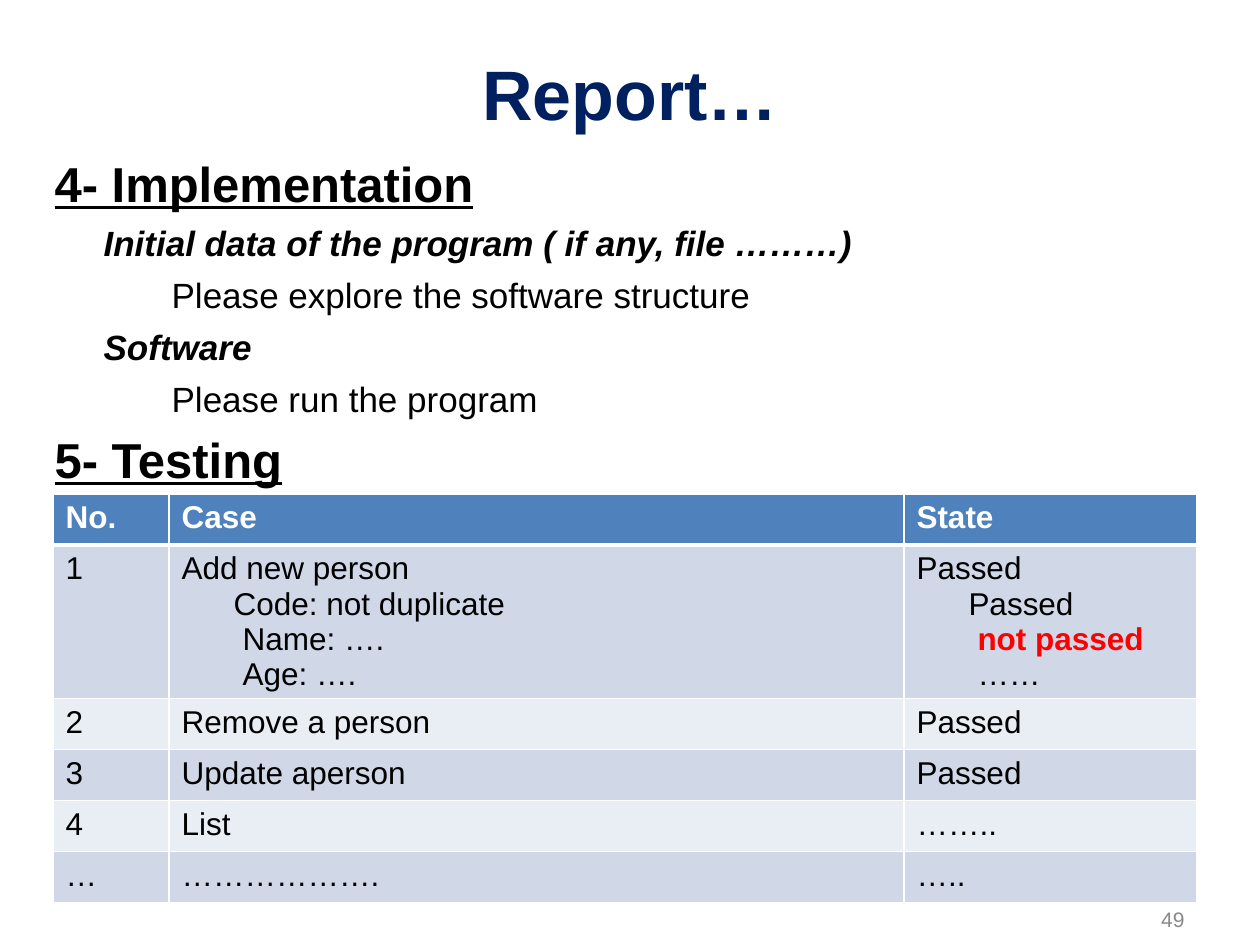
from dataclasses import dataclass

from lxml import etree
from pptx import Presentation
from pptx.dml.color import RGBColor
from pptx.enum.text import MSO_ANCHOR, MSO_AUTO_SIZE, PP_ALIGN
from pptx.oxml.ns import qn
from pptx.util import Emu, Pt

MIDDLE, TOP = MSO_ANCHOR.MIDDLE, MSO_ANCHOR.TOP
LEFT, CENTER, RIGHT = PP_ALIGN.LEFT, PP_ALIGN.CENTER, PP_ALIGN.RIGHT
NO_AUTOFIT = MSO_AUTO_SIZE.NONE
EMU_PER_PX = 914400 / 126
BLACK, WHITE, RED = "000000", "FFFFFF", "FF0000"
NAVY, GRAY, BLUE = "002060", "898989", "4F81BD"
BANDS = ("D0D8E8", "E9EDF4")


@dataclass(frozen=True)
class Line:
    text: str
    size: int = 18
    color: str = BLACK
    bold: bool = False
    italic: bool = False
    underline: bool = False
    indent: int = 0
    align: PP_ALIGN = LEFT
    before: float = 0


def px(length: int) -> Emu:
    return Emu(round(length * EMU_PER_PX))


def rgb(value: str) -> RGBColor:
    return RGBColor.from_string(value)


def write_lines(frame, lines: list[Line]) -> None:
    for index, line in enumerate(lines):
        para = frame.paragraphs[0] if index == 0 else frame.add_paragraph()
        para.text = line.text
        para.alignment = line.align
        para.space_before = Pt(line.before)
        font = para.font
        font.name, font.size = "Arial", Pt(line.size)
        font.bold, font.italic = line.bold, line.italic
        font.underline = line.underline
        font.color.rgb = rgb(line.color)
        properties = para._p.get_or_add_pPr()
        properties.set("marL", str(px(line.indent)))
        properties.set("indent", "0")
        etree.SubElement(properties, qn("a:buNone"))


def fill_box(box, bounds: tuple[int, int, int, int], lines: list[Line],
             anchor: MSO_ANCHOR) -> None:
    box.left, box.top, box.width, box.height = map(px, bounds)
    frame = box.text_frame
    frame.word_wrap = True
    frame.auto_size = NO_AUTOFIT
    frame.vertical_anchor = anchor
    write_lines(frame, lines)


def add_border(cell, side: str, points: int) -> None:
    border = etree.SubElement(cell._tc.get_or_add_tcPr(), qn(f"a:ln{side}"),
                              w=str(Pt(points)))
    fill = etree.SubElement(border, qn("a:solidFill"))
    etree.SubElement(fill, qn("a:srgbClr"), val=WHITE)


def heading(text: str) -> Line:
    return Line(text, 28, bold=True, underline=True, before=5.6)


def topic(text: str) -> Line:
    return Line(text, 20, bold=True, italic=True, indent=49, before=5.6)


def detail(text: str) -> Line:
    return Line(text, 20, indent=117, before=5.6)


def add_test_table(slide, rows: list[list[list[Line]]]) -> None:
    widths = (116, 735, 293)
    heights = [153 if index == 1 else 51 for index in range(len(rows))]
    table = slide.shapes.add_table(len(rows), len(widths), px(53), px(494),
                                   px(sum(widths)), px(sum(heights))).table
    for column, width in zip(table.columns, widths):
        column.width = px(width)
    for row_index, row in enumerate(rows):
        table.rows[row_index].height = px(heights[row_index])
        for column_index, lines in enumerate(row):
            cell = table.cell(row_index, column_index)
            add_border(cell, "L", 1)
            add_border(cell, "R", 1)
            add_border(cell, "T", 3 if row_index == 1 else 1)
            add_border(cell, "B", 3 if row_index == 0 else 1)
            cell.fill.solid()
            color = BANDS[(row_index - 1) % 2] if row_index else BLUE
            cell.fill.fore_color.rgb = rgb(color)
            write_lines(cell.text_frame, lines)


def main() -> None:
    deck = Presentation()
    deck.slide_width, deck.slide_height = px(1260), px(945)
    page = deck.slides.add_slide(deck.slide_layouts[1])
    title, body = page.placeholders
    fill_box(title, (63, 38, 1134, 110),
             [Line("Report…", 40, NAVY, bold=True, align=CENTER)], MIDDLE)
    fill_box(body, (42, 147, 1176, 368), [
        heading("4- Implementation"),
        topic("Initial data of the program ( if any, file ………)"),
        detail("Please explore the software structure"),
        topic("Software"),
        detail("Please run the program"),
        heading("5- Testing"),
    ], TOP)
    number = page.shapes.add_textbox(0, 0, 0, 0)
    fill_box(number, (1050, 903, 147, 32),
             [Line("49", 12, GRAY, align=RIGHT)], MIDDLE)

    header = [[Line(text, color=WHITE, bold=True)]
              for text in ("No.", "Case", "State")]
    first_case = [
        [Line("1")],
        [Line("Add new person"), Line("Code: not duplicate", indent=52),
         Line("Name: ….", indent=61), Line("Age: ….", indent=61)],
        [Line("Passed"), Line("Passed", indent=52),
         Line("not passed", color=RED, bold=True, indent=61),
         Line("……", indent=61)],
    ]
    other_cases = [[[Line(text)] for text in row] for row in (
        ("2", "Remove a person", "Passed"),
        ("3", "Update aperson", "Passed"),
        ("4", "List", "…….."),
        ("…", "……………….", "….."),
    )]
    add_test_table(page, [header, first_case, *other_cases])
    deck.save("out.pptx")


if __name__ == "__main__":
    main()
